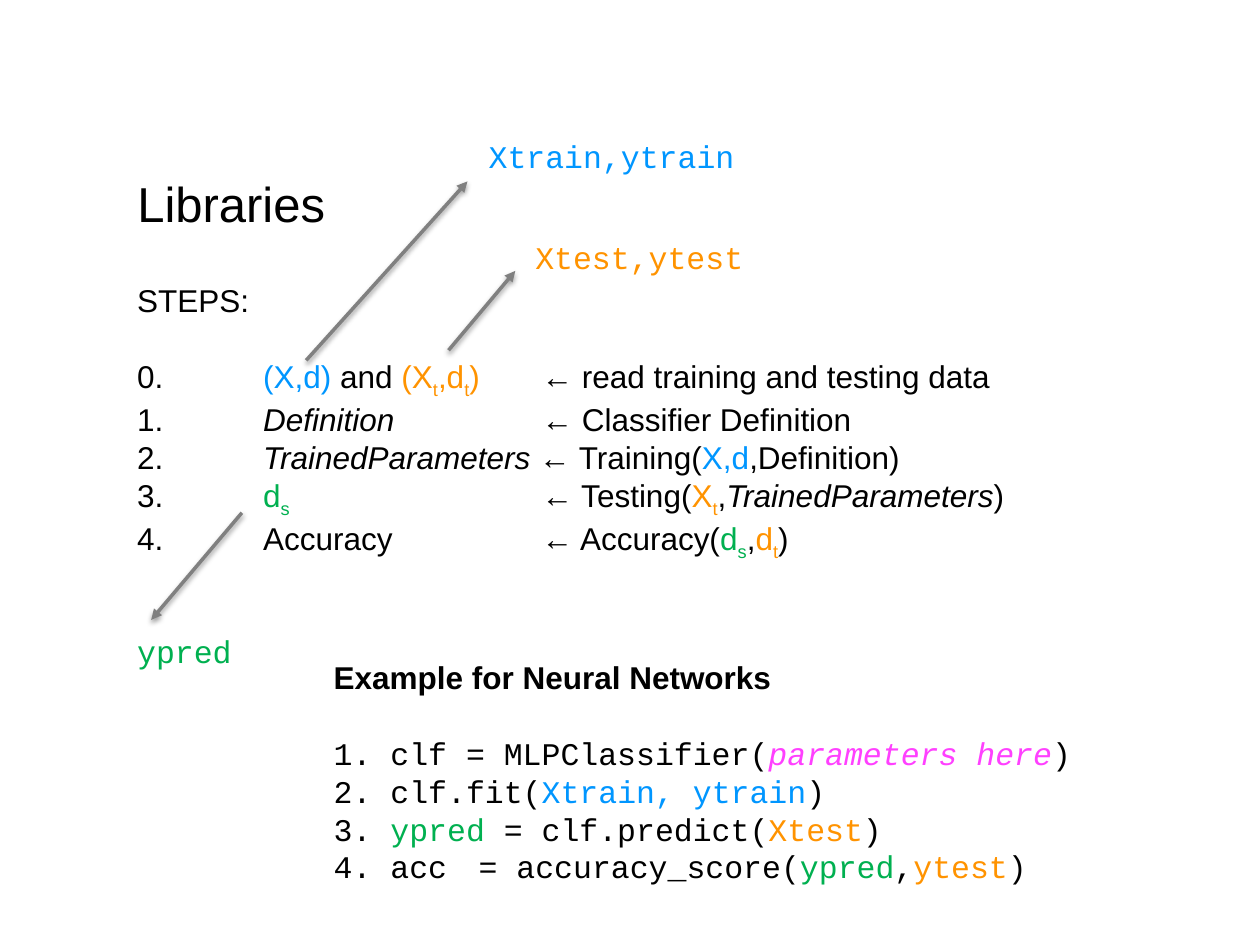
from dataclasses import dataclass
from typing import Optional

from lxml import etree
from pptx import Presentation
from pptx.dml.color import RGBColor
from pptx.enum import shapes, text
from pptx.oxml import ns
from pptx.util import Inches, Pt


@dataclass(frozen=True)
class Theme:
    sans: str = "Arial"
    mono: str = "Courier New"
    title: int = 28
    body: int = 18
    gap: float = 22
    black: str = "000000"
    train: str = "0096FF"
    test: str = "FF9300"
    pred: str = "00B050"
    param: str = "FF40FF"
    arrow: str = "808080"


T = Theme()


@dataclass(frozen=True)
class Run:
    text: str
    color: str = T.black
    italic: bool = False
    bold: bool = False
    sub: bool = False
    font: Optional[str] = None


@dataclass(frozen=True)
class Callout:
    label: str
    color: str
    box: tuple
    start: tuple
    end: tuple


def sub(base: str, index: str, color: str) -> list:
    return [Run(base, color), Run(index, color, sub=True)]


def child(parent, tag: str, **attrs):
    return etree.SubElement(parent, ns.qn(tag), {k: str(v) for k, v in attrs.items()})


def place(sp, box: tuple) -> None:
    sp.left, sp.top, sp.width, sp.height = map(Inches, box)


def write(sp, lines: list, *, font: str = T.sans, size: int = T.body,
          tabs: tuple = (), gap_after_first: float = 0) -> None:
    tf = sp.text_frame
    tf.word_wrap = False
    tf.auto_size = text.MSO_AUTO_SIZE.SHAPE_TO_FIT_TEXT
    tf.vertical_anchor = text.MSO_ANCHOR.TOP
    for i, line in enumerate(lines):
        p = tf.add_paragraph() if i else tf.paragraphs[0]
        p.alignment = text.PP_ALIGN.LEFT
        if i == 0 and gap_after_first:
            p.space_after = Pt(gap_after_first)
        if tabs:
            stops = child(p._p.get_or_add_pPr(), "a:tabLst")
            for pos in tabs:
                child(stops, "a:tab", pos=Inches(pos), algn="l")
        for run in line:
            r = p.add_run()
            r.text = run.text
            r.font.name = run.font or font
            r.font.size = Pt(size)
            r.font.bold = run.bold
            r.font.italic = run.italic
            r.font.color.rgb = RGBColor.from_string(run.color)
            if run.sub:
                r._r.get_or_add_rPr().set("baseline", "-25000")


def add_text(parent, box: tuple, lines: list, **fmt):
    sp = parent.add_textbox(*map(Inches, box))
    write(sp, lines, **fmt)
    return sp


def add_arrow(parent, start: tuple, end: tuple) -> None:
    sp = parent.add_connector(shapes.MSO_CONNECTOR.STRAIGHT, *map(Inches, start + end))
    sp.line.width = Pt(2)
    sp.line.color.rgb = RGBColor.from_string(T.arrow)
    child(sp.line._get_or_add_ln(), "a:tailEnd", type="triangle")
    effects = child(sp._element.spPr, "a:effectLst")
    shadow = child(effects, "a:outerShdw", blurRad=Pt(3.1), dist=Pt(1.6),
                   dir=5400000, rotWithShape=0)
    child(child(shadow, "a:srgbClr", val=T.black), "a:alpha", val=38000)


def add_callout(parent, c: Callout) -> None:
    group = parent.add_group_shape().shapes
    add_arrow(group, c.start, c.end)
    add_text(group, c.box, [[Run(c.label, c.color)]], font=T.mono)


STEPS = [
    [Run("STEPS:")],
    [Run("0.\t"), Run("(X,d)", T.train), Run(" and "), *sub("(X", "t", T.test),
     *sub(",d", "t", T.test), Run(")", T.test),
     Run("\t← read training and testing data")],
    [Run("1.\t"), Run("Definition", italic=True), Run("\t← Classifier Definition")],
    [Run("2.\t"), Run("TrainedParameters", italic=True), Run(" ← Training("),
     Run("X,d", T.train), Run(",Definition)")],
    [Run("3.\t"), *sub("d", "s", T.pred), Run("\t← Testing("),
     *sub("X", "t", T.test), Run(","), Run("TrainedParameters", italic=True), Run(")")],
    [Run("4.\tAccuracy\t← Accuracy("), *sub("d", "s", T.pred), Run(","),
     *sub("d", "t", T.test), Run(")")],
]

EXAMPLE = [
    [Run("Example for Neural Networks", bold=True, font=T.sans)],
    [Run("1. clf = MLPClassifier("), Run("parameters here", T.param, italic=True), Run(")")],
    [Run("2. clf.fit("), Run("Xtrain, ytrain", T.train), Run(")")],
    [Run("3. "), Run("ypred", T.pred), Run(" = clf.predict("), Run("Xtest", T.test), Run(")")],
    [Run("4. acc\t = accuracy_score("), Run("ypred", T.pred), Run(","),
     Run("ytest", T.test), Run(")")],
]

CALLOUTS = [
    Callout("Xtrain,ytrain", T.train, (3.78, 1.04, 2.16, 0.4), (2.43, 2.86), (3.71, 1.44)),
    Callout("ypred", T.pred, (0.99, 4.97, 0.96, 0.4), (1.92, 4.07), (1.2, 4.92)),
    Callout("Xtest,ytest", T.test, (4.15, 1.84, 1.86, 0.4), (3.56, 2.78), (4.09, 2.15)),
]


def main() -> None:
    prs = Presentation()
    prs.slide_width, prs.slide_height = Inches(10), Inches(7.5)
    s = prs.slides.add_slide(prs.slide_layouts[5])
    title = s.shapes.title
    place(title, (0.99, 1.33, 1.71, 0.57))
    write(title, [[Run("Libraries")]], size=T.title)
    add_text(s.shapes, (0.99, 2.18, 7.19, 2.22), STEPS, tabs=(1, 3.21),
             gap_after_first=T.gap)
    for c in CALLOUTS:
        add_callout(s.shapes, c)
    add_text(s.shapes, (2.55, 5.17, 6.08, 1.92), EXAMPLE, font=T.mono, tabs=(1,),
             gap_after_first=T.gap)
    prs.save("out.pptx")


if __name__ == "__main__":
    main()
